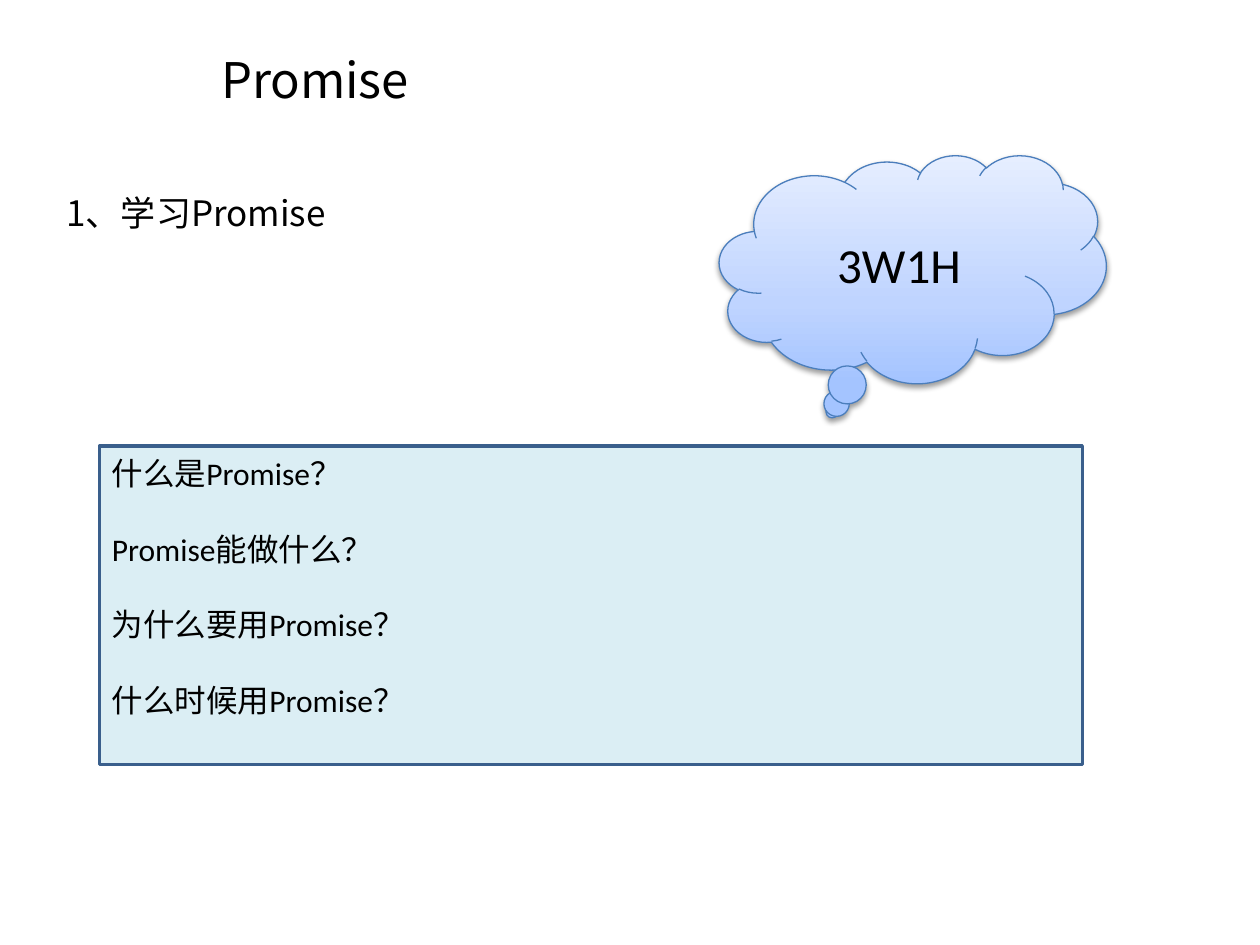
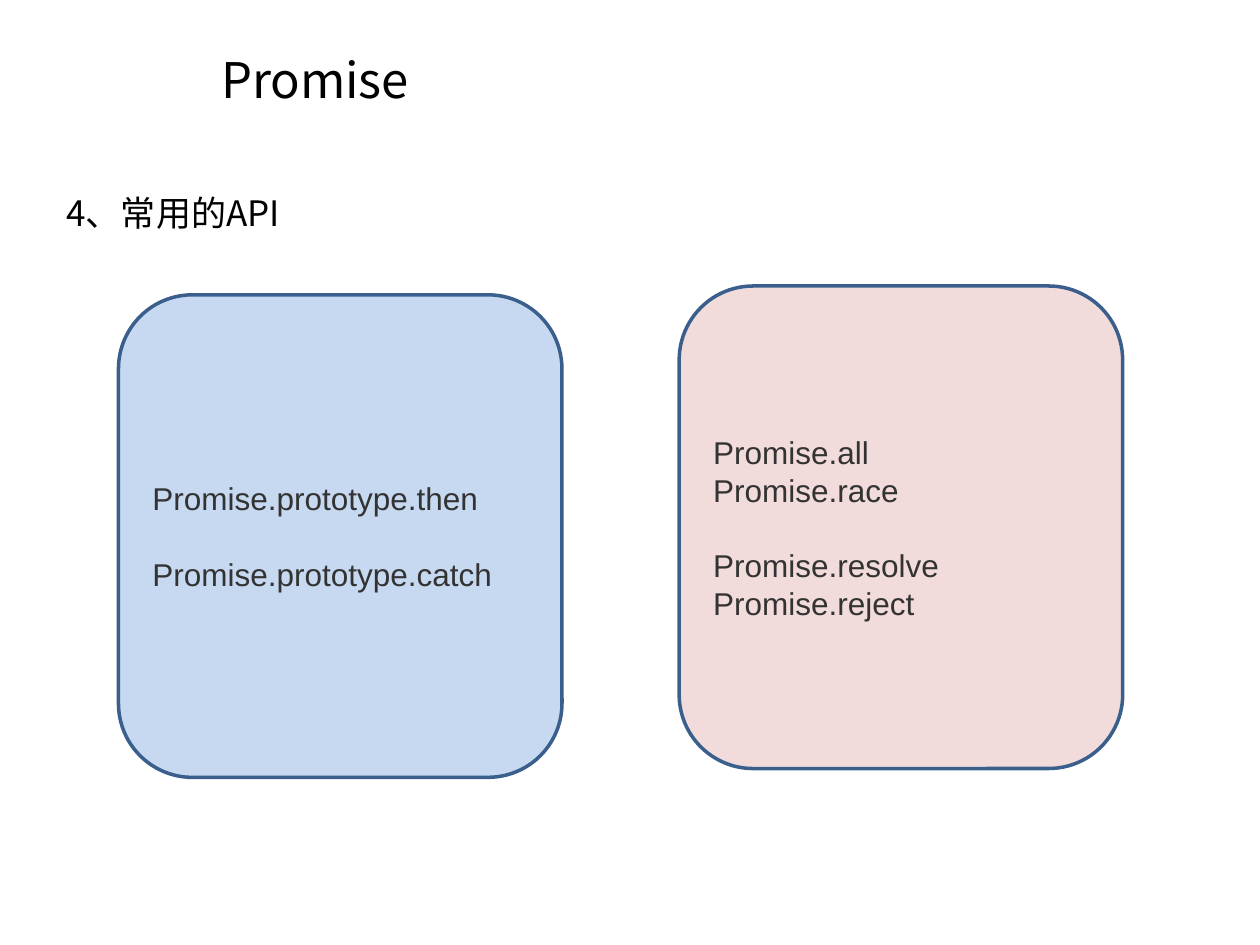
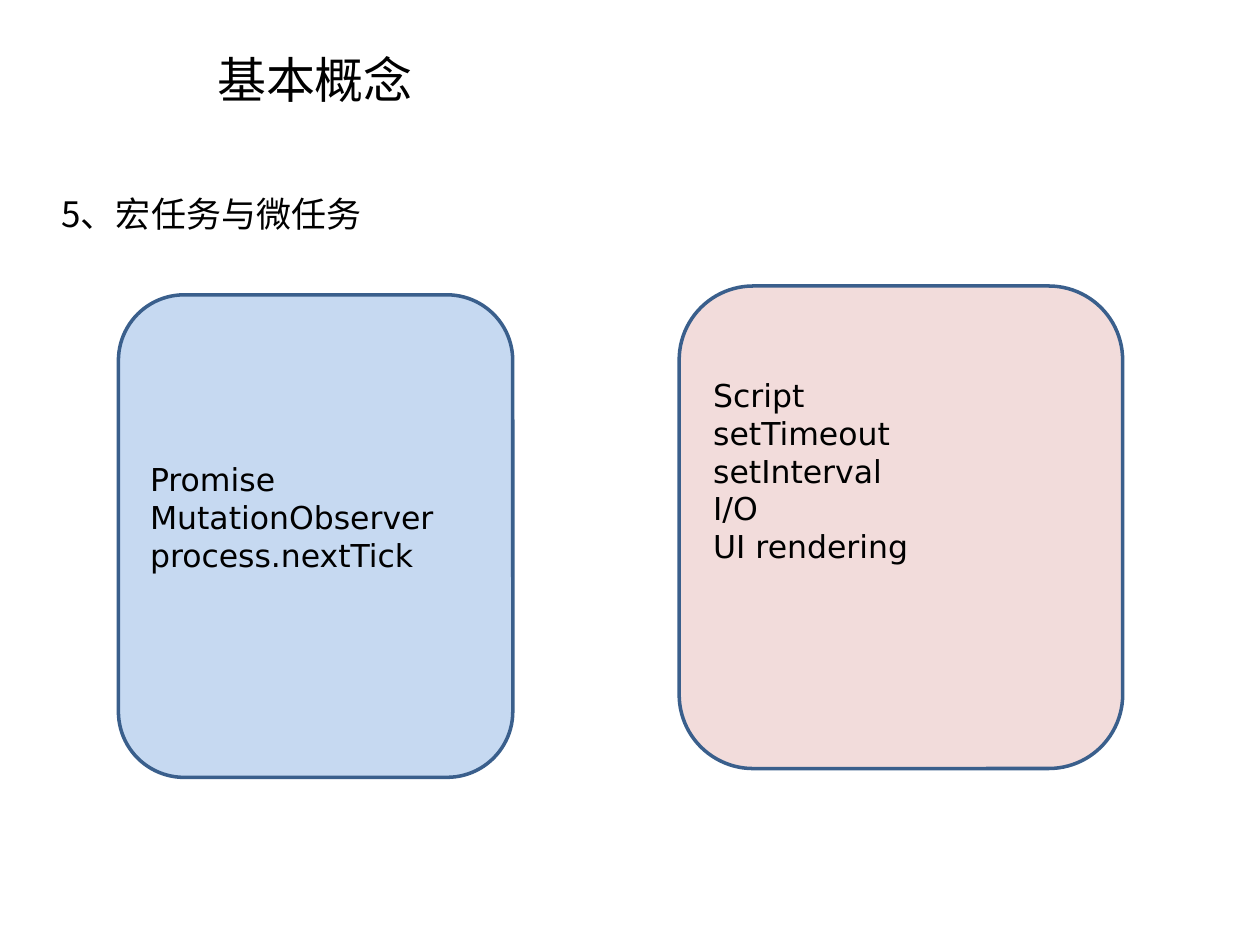
import copy

import lxml.etree
import pptx
import pptx.dml.color
import pptx.enum.shapes
import pptx.enum.text
import pptx.oxml.ns
import pptx.util

RGB = pptx.dml.color.RGBColor
Pt = pptx.util.Pt
SHAPE = pptx.enum.shapes.MSO_SHAPE
ALIGN = pptx.enum.text.PP_ALIGN
ANCHOR = pptx.enum.text.MSO_ANCHOR
qn = pptx.oxml.ns.qn

# Colours and fonts
BLACK = RGB(0x00, 0x00, 0x00)
GREY = RGB(0x33, 0x33, 0x33)
NAVY = RGB(0x3A, 0x5F, 0x8C)
EDGE = RGB(0x4B, 0x7E, 0xBC)
AQUA = RGB(0xDB, 0xEE, 0xF4)
BLUE = RGB(0xC6, 0xD9, 0xF1)
PINK = RGB(0xF2, 0xDC, 0xDB)
SKY = [(0, RGB(0xA4, 0xC4, 0xFF)), (0.35, RGB(0xBF, 0xD4, 0xFF)),
       (1, RGB(0xE6, 0xEE, 0xFF))]
HAN = "Noto Sans CJK SC"

# The slide is a grid of 100 columns by 75 rows
COLS, ROWS = 100, 75
UNIT = pptx.util.Inches(0.1)
LINE = Pt(21.6)

# Text formats
TITLE = {"name": HAN, "size": Pt(28)}
HEAD = {"name": HAN, "size": Pt(20)}
CLOUD = {"name": "Calibri", "size": Pt(28)}
ASK = {"name": "Calibri", "size": Pt(18)}
CODE = {"name": "Arial", "size": Pt(18)}
TASK = {"name": "DejaVu Sans", "size": Pt(18)}

# Card places: column, row, columns, rows
LEFT = (9.4, 23.4, 35.2, 38.3)
SLIM = (9.4, 23.4, 31.3, 38.3)
RIGHT = (53.9, 22.7, 35.2, 38.3)


def place(cells):
    return [round(n * UNIT) for n in cells]


def put(item, form):
    for key, value in form.items():
        setattr(item, key, value)


def write(par, text, font, color=BLACK):
    run = par.add_run()
    run.text = text
    put(run.font, font)
    run.font.color.rgb = color
    east = lxml.etree.SubElement(run.font._element, qn("a:ea"))
    east.set("typeface", HAN)


def label(slide, cells, text, font):
    """Add a wrapped text box of one paragraph."""
    box = slide.shapes.add_textbox(*place(cells))
    box.text_frame.word_wrap = True
    par = box.text_frame.paragraphs[0]
    write(par, text, font)
    return box.text_frame, par


def title(slide, text):
    frame, par = label(slide, (3.1, 0.8, 43.8, 6.3), text, TITLE)
    frame.vertical_anchor = ANCHOR.MIDDLE
    put(par, {"alignment": ALIGN.CENTER, "line_spacing": 2.0})
    props = par._p.get_or_add_pPr()
    props.set("marL", str(5 * UNIT))
    props.set("indent", str(-5 * UNIT))


def shape(slide, kind, cells, edge, width):
    item = slide.shapes.add_shape(kind, *place(cells))
    item.shadow.inherit = False
    item.line.color.rgb = edge
    item.line.width = Pt(width)
    put(item.text_frame, {"word_wrap": True, "vertical_anchor": ANCHOR.MIDDLE})
    return item


def card(slide, kind, cells, fill, groups, font, color=BLACK, lift=0):
    """Add a filled card; groups are one line apart, lift is lines kept free below."""
    item = shape(slide, kind, cells, NAVY, 2)
    item.fill.solid()
    item.fill.fore_color.rgb = fill
    frame = item.text_frame
    frame.margin_bottom += lift * LINE
    par = None
    for group in groups:
        for index, text in enumerate(group):
            gap = LINE if par is not None and index == 0 else 0
            par = frame.paragraphs[0] if par is None else frame.add_paragraph()
            put(par, {"alignment": ALIGN.LEFT, "line_spacing": LINE,
                      "space_before": gap})
            write(par, text, font, color)


def cloud(slide, cells, text):
    item = shape(slide, SHAPE.CLOUD_CALLOUT, cells, EDGE, 0.75)
    # Three-stop gradient, dark at the bottom
    item.fill.gradient()
    item.fill.gradient_angle = 90
    stops = item.element.spPr.find(".//" + qn("a:gsLst"))
    stops.append(copy.deepcopy(stops[-1]))
    for stop, (spot, color) in zip(item.fill.gradient_stops, SKY):
        stop.position = spot
        stop.color.rgb = color
    # Soft shadow below
    effects = item.element.spPr.find(qn("a:effectLst"))
    shade = lxml.etree.SubElement(effects, qn("a:outerShdw"), {
        "blurRad": str(Pt(3.1)), "dist": str(Pt(1.6)),
        "dir": "5400000", "rotWithShape": "0"})
    tint = lxml.etree.SubElement(shade, qn("a:srgbClr"), {"val": str(BLACK)})
    lxml.etree.SubElement(tint, qn("a:alpha"), {"val": "38000"})
    par = item.text_frame.paragraphs[0]
    par.alignment = ALIGN.CENTER
    write(par, text, CLOUD)


def page(deck, name, head, cells=(4.3, 14.7, 36.7, 10.4)):
    slide = deck.slides.add_slide(deck.slide_layouts[6])
    title(slide, name)
    label(slide, cells, head, HEAD)
    return slide


def main():
    deck = pptx.Presentation()
    put(deck, {"slide_width": COLS * UNIT, "slide_height": ROWS * UNIT})

    # Learning questions
    slide = page(deck, "Promise", "1、学习Promise")
    cloud(slide, (57.1, 12.3, 30.7, 18.1), "3W1H")
    card(slide, SHAPE.RECTANGLE, (7.9, 35.4, 78, 25.3), AQUA,
         [["什么是Promise？"], ["Promise能做什么？"],
          ["为什么要用Promise？"], ["什么时候用Promise？"]], ASK, lift=1)

    # Common calls
    slide = page(deck, "Promise", "4、常用的API")
    card(slide, SHAPE.ROUNDED_RECTANGLE, LEFT, BLUE,
         [["Promise.prototype.then"], ["Promise.prototype.catch"]], CODE, GREY)
    card(slide, SHAPE.ROUNDED_RECTANGLE, RIGHT, PINK,
         [["Promise.all", "Promise.race"],
          ["Promise.resolve", "Promise.reject"]], CODE, GREY)

    # Micro and macro tasks
    slide = page(deck, "基本概念", "5、宏任务与微任务", (3.9, 14.8, 96, 20.2))
    card(slide, SHAPE.ROUNDED_RECTANGLE, SLIM, BLUE,
         [["Promise", "MutationObserver", "process.nextTick"]], TASK, lift=1)
    card(slide, SHAPE.ROUNDED_RECTANGLE, RIGHT, PINK,
         [["Script", "setTimeout", "setInterval", "I/O", "UI rendering"]],
         TASK, lift=3)

    deck.save("out.pptx")


if __name__ == "__main__":
    main()
